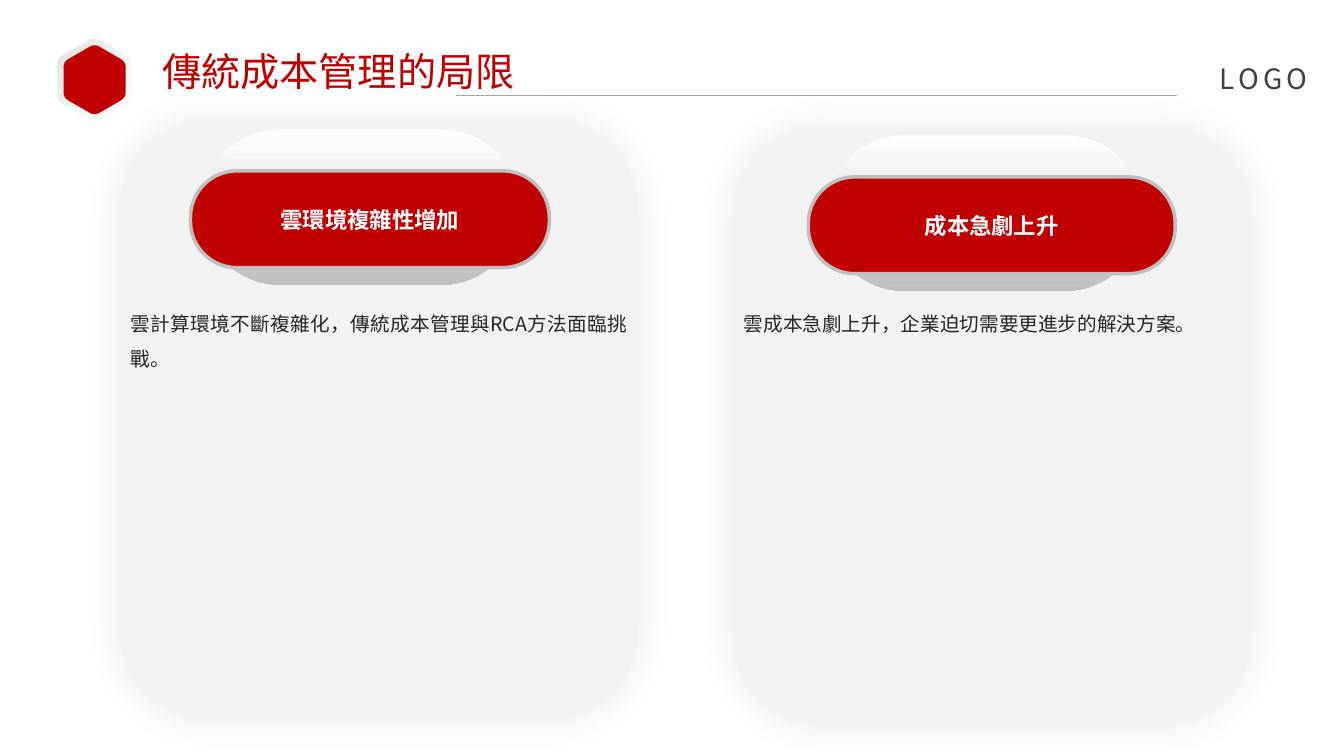
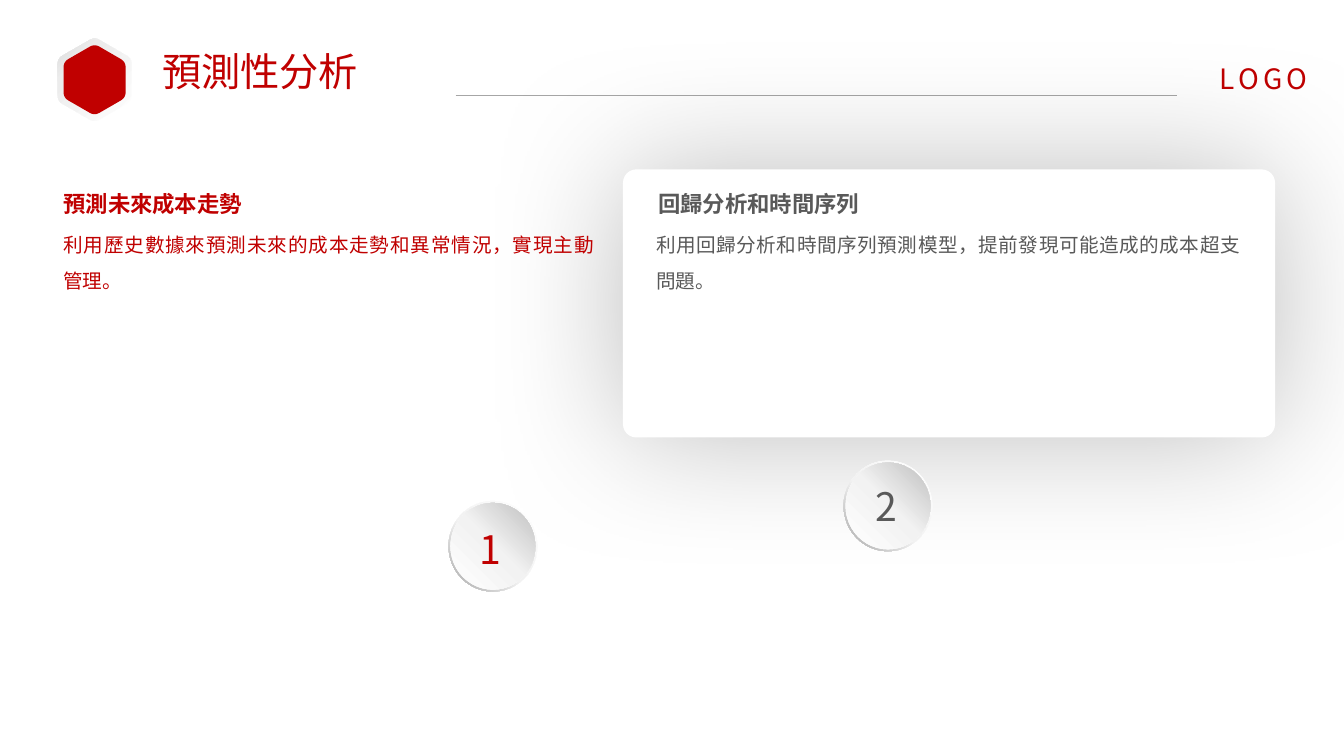
from dataclasses import dataclass
from math import cos, radians, sin

from pptx import Presentation
from pptx.dml.color import RGBColor
from pptx.enum.shapes import MSO_CONNECTOR as Connector, MSO_SHAPE as Preset
from pptx.enum.text import MSO_ANCHOR as Anchor, MSO_AUTO_SIZE as AutoSize, PP_ALIGN as Align
from pptx.oxml import parse_xml
from pptx.oxml.ns import nsdecls, qn
from pptx.util import Pt


@dataclass(frozen=True)
class Theme:
    font: str = "Noto Sans CJK SC"
    red: str = "C00000"
    white: str = "FFFFFF"
    panel: str = "F2F2F2"
    rule: str = "A6A6A6"
    edge: str = "BFBFBF"
    ink: str = "262626"
    dark: str = "404040"
    gray: str = "595959"
    title: int = 28
    logo: int = 20
    heading: int = 16
    body: int = 14
    hexagon: tuple = ((0, "FFFFFF"), (73, "ECECEC"), (100, "D9D9D9"))
    cap: tuple = ((0, "FFFFFF"), (100, "BFBFBF"))
    ring: tuple = ((0, "FFFFFF"), (55, "F2F2F2"), (100, "A6A6A6"))
    disc: tuple = ((0, "FFFFFF"), (51, "F2F2F2"), (100, "BFBFBF"))


THEME = Theme()

LIMITS = {
    "title": "傳統成本管理的局限",
    "logo_color": THEME.dark,
    "cards": [
        {"heading": "雲環境複雜性增加",
         "body": "雲計算環境不斷複雜化，傳統成本管理與RCA方法面臨挑戰。",
         "corner": (86.4, 87.1), "cap_dx": 58.3, "pill_dx": 49.7, "pill_width": 256.3},
        {"heading": "成本急劇上升",
         "body": "雲成本急劇上升，企業迫切需要更進步的解決方案。",
         "corner": (524.2, 91.4), "cap_dx": 66.2, "pill_dx": 53.2, "pill_width": 262.1},
    ],
}
FORECAST = {
    "title": "預測性分析",
    "logo_color": THEME.red,
    "panel": (445, 121, 465.8, 191.5),
    "topics": [
        {"number": "1", "heading": "預測未來成本走勢",
         "body": "利用歷史數據來預測未來的成本走勢和異常情況，實現主動管理。",
         "color": THEME.red, "heading_left": 38.2, "body_left": 38.2, "width": 393.1,
         "ball": (320.4, 357.8), "number_at": (335.5, 371.5)},
        {"number": "2", "heading": "回歸分析和時間序列",
         "body": "利用回歸分析和時間序列預測模型，提前發現可能造成的成本超支問題。",
         "color": THEME.gray, "heading_left": 463, "body_left": 461.5, "width": 431.3,
         "ball": (602.6, 329), "number_at": (618.5, 341.3)},
    ],
}


def rgb(value):
    return RGBColor.from_string(value)


def paint(shape, fill, angle=0):
    shape.shadow.inherit = False
    shape.line.fill.background()
    if isinstance(fill, str):
        shape.fill.solid()
        shape.fill.fore_color.rgb = rgb(fill)
        return
    stops = "".join(
        f'<a:gs pos="{position * 1000}"><a:srgbClr val="{color}"/></a:gs>'
        for position, color in fill)
    gradient = parse_xml(
        f'<a:gradFill {nsdecls("a")} rotWithShape="1"><a:gsLst>{stops}</a:gsLst>'
        f'<a:lin ang="{angle * 60000}" scaled="0"/></a:gradFill>')
    shape.line._ln.addprevious(gradient)


def add_shadow(shape, alpha, blur):
    effects = shape._element.spPr.find(qn("a:effectLst"))
    effects.append(parse_xml(
        f'<a:outerShdw {nsdecls("a")} blurRad="{Pt(blur)}" dist="0" dir="0" algn="ctr" '
        f'rotWithShape="0"><a:srgbClr val="000000"><a:alpha val="{alpha * 1000}"/>'
        f'</a:srgbClr></a:outerShdw>'))


def add_preset(slide, preset, box, fill, angle=0, adjustment=None):
    shape = slide.shapes.add_shape(preset, *map(Pt, box))
    if adjustment is not None:
        shape.adjustments[0] = adjustment
    paint(shape, fill, angle)
    return shape


def write(paragraph, text, size, color, bold=False, spacing=None):
    run = paragraph.add_run()
    run.text = text
    font = run.font
    font.size = Pt(size)
    font.bold = bold
    font.color.rgb = rgb(color)
    font.name = THEME.font
    properties = run._r.get_or_add_rPr()
    properties.append(parse_xml(f'<a:ea {nsdecls("a")} typeface="{THEME.font}"/>'))
    if spacing:
        properties.set("spc", str(spacing * 100))


def add_text(slide, box, text, size, color, bold=False, inset=True, spacing=None):
    frame = slide.shapes.add_textbox(*map(Pt, box)).text_frame
    frame.word_wrap = True
    frame.auto_size = AutoSize.SHAPE_TO_FIT_TEXT
    if not inset:
        frame.margin_left = frame.margin_top = frame.margin_right = frame.margin_bottom = 0
    paragraph = frame.paragraphs[0]
    write(paragraph, text, size, color, bold, spacing)
    return paragraph


def add_body(slide, box, text, color):
    paragraph = add_text(slide, box, text, THEME.body, color)
    paragraph.alignment = Align.JUSTIFY
    paragraph.line_spacing = 1.5


def add_hexagon(slide, center, radius, cut, fill, angle=0):
    corners = [(center[0] + radius * cos(radians(60 * i - 90)),
                center[1] + radius * sin(radians(60 * i - 90))) for i in range(6)]
    share = cut / radius
    points = []
    for i, corner in enumerate(corners):
        start, end = (
            [c + (n - c) * share for c, n in zip(corner, neighbour)]
            for neighbour in (corners[i - 1], corners[(i + 1) % 6]))
        for step in range(7):
            t = step / 6
            points.append(tuple(
                Pt((1 - t) ** 2 * s + 2 * t * (1 - t) * c + t ** 2 * e)
                for s, c, e in zip(start, corner, end)))
    builder = slide.shapes.build_freeform(*points[0], scale=1.0)
    builder.add_line_segments(points[1:], close=True)
    paint(builder.convert_to_shape(), fill, angle)


def add_header(slide, title, logo_color):
    center = (67.6, 57)
    add_hexagon(slide, center, 30.4, 4, THEME.hexagon, 225)
    add_hexagon(slide, center, 25.6, 4, THEME.red)
    rule = slide.shapes.add_connector(
        Connector.STRAIGHT, Pt(325.4), Pt(68.4), Pt(841), Pt(68.4))
    rule.line.color.rgb = rgb(THEME.rule)
    rule.line.width = Pt(1)
    rule._element.spPr.append(parse_xml(f'<a:effectLst {nsdecls("a")}/>'))
    add_text(slide, (871.2, 43.9, 73.4, 24.5), "LOGO", THEME.logo, logo_color,
             inset=False, spacing=3)
    add_text(slide, (115.9, 33.8, 625.7, 33.8), title, THEME.title, THEME.red, inset=False)


def add_card(slide, card):
    left, top = card["corner"]
    panel = add_preset(slide, Preset.ROUNDED_RECTANGLE, (left, top, 368.6, 425.5), THEME.panel)
    add_shadow(panel, 9, 26)
    add_preset(slide, Preset.ROUNDED_RECTANGLE,
               (left + card["cap_dx"], top + 5.4, 226.1, 110.9), THEME.cap, 90, 0.5)
    pill = add_preset(slide, Preset.ROUNDED_RECTANGLE,
                      (left + card["pill_dx"], top + 35, card["pill_width"], 69.1),
                      THEME.red, adjustment=0.48)
    pill.line.color.rgb = rgb(THEME.edge)
    pill.line.width = Pt(2.5)
    frame = pill.text_frame
    frame.word_wrap = True
    frame.vertical_anchor = Anchor.MIDDLE
    paragraph = frame.paragraphs[0]
    paragraph.alignment = Align.CENTER
    write(paragraph, card["heading"], THEME.heading, THEME.white, bold=True)
    add_body(slide, (left, 211, 368.6, 105.8), card["body"], THEME.ink)


def add_topic(slide, topic):
    color, width = topic["color"], topic["width"]
    add_body(slide, (topic["body_left"], 154.8, width, 55.4), topic["body"], color)
    add_text(slide, (topic["heading_left"], 132.5, width, 26.6), topic["heading"],
             THEME.heading, color, bold=True)
    left, top = topic["ball"]
    add_preset(slide, Preset.DONUT, (left, top, 63.4, 64.8), THEME.ring, 135, 0.05)
    add_preset(slide, Preset.OVAL, (left + 1.4, top + 1.4, 60.6, 62), THEME.disc, 315)
    add_text(slide, (*topic["number_at"], 69.1, 41), topic["number"], THEME.title, color)


def main():
    presentation = Presentation()
    presentation.slide_width, presentation.slide_height = Pt(960), Pt(540)
    blank = presentation.slide_layouts[6]

    limits = presentation.slides.add_slide(blank)
    add_header(limits, LIMITS["title"], LIMITS["logo_color"])
    for card in LIMITS["cards"]:
        add_card(limits, card)

    forecast = presentation.slides.add_slide(blank)
    add_header(forecast, FORECAST["title"], FORECAST["logo_color"])
    panel = add_preset(forecast, Preset.ROUNDED_RECTANGLE, FORECAST["panel"],
                       THEME.white, adjustment=0.05)
    add_shadow(panel, 26, 100)
    for topic in FORECAST["topics"]:
        add_topic(forecast, topic)

    presentation.save("out.pptx")


if __name__ == "__main__":
    main()
